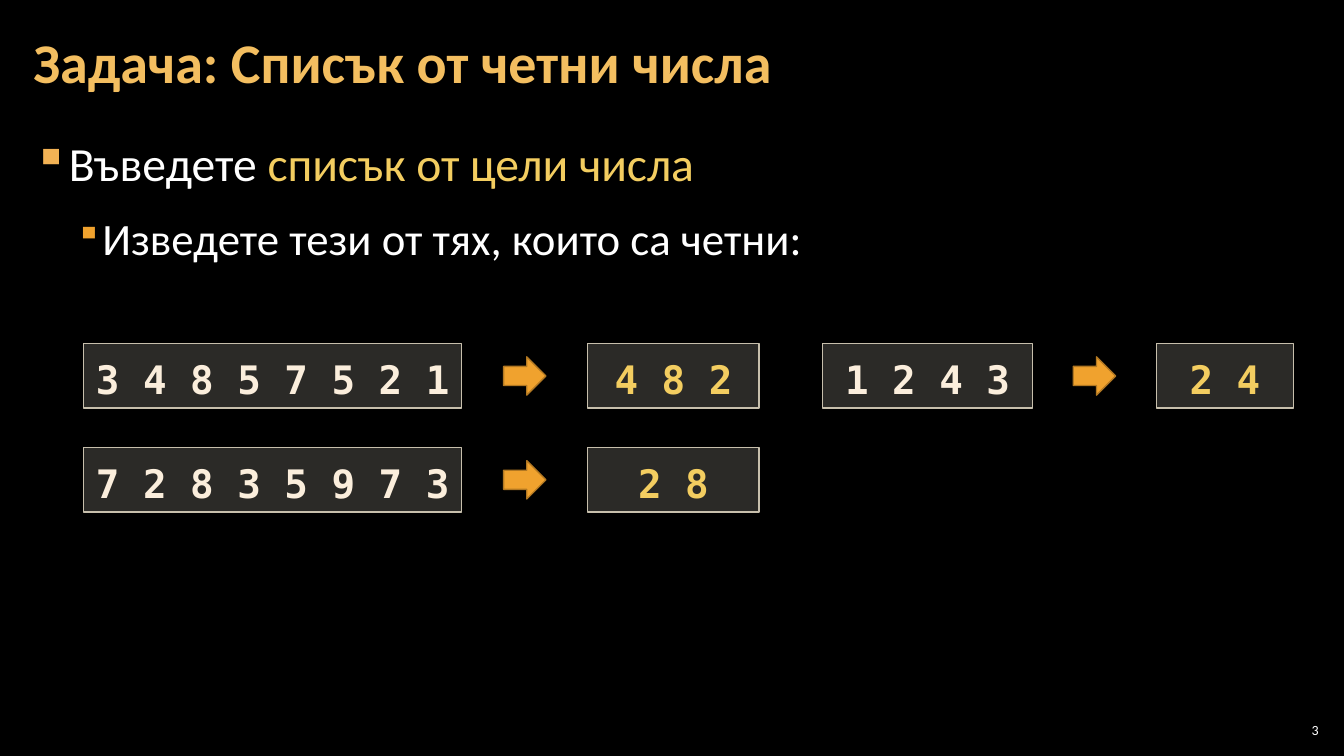
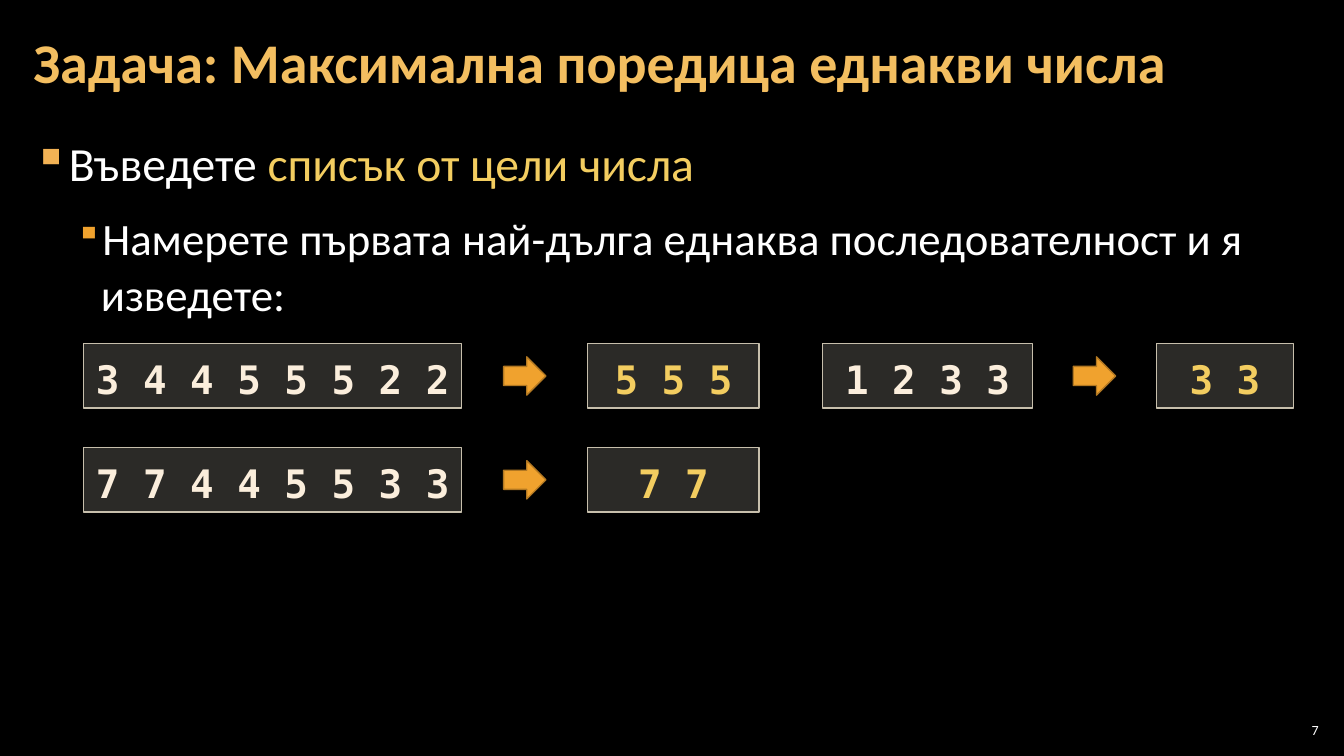
from dataclasses import dataclass

import pptx
import pptx.util
from lxml import etree
from pptx.dml.color import RGBColor
from pptx.enum.shapes import MSO_SHAPE
from pptx.enum.text import MSO_ANCHOR, MSO_AUTO_SIZE, PP_ALIGN
from pptx.oxml.ns import qn
from pptx.util import Inches


# Theme
@dataclass(frozen=True)
class Theme:
    background: str = "000000"
    text: str = "FFFFFF"
    title: str = "F3BE60"
    highlight: str = "F3CD60"
    numbers: str = "FBEEDC"
    box_fill: str = "D9D5C7"
    box_line: str = "C7BFAC"
    box_opacity: int = 20
    arrow_fill: str = "F0A22E"
    arrow_line: str = "B27822"
    body_font: str = "Calibri"
    code_font: str = "DejaVu Sans Mono"
    title_size: int = 40
    code_size: int = 28
    footer_size: int = 10


THEME = Theme()


# Content types
@dataclass(frozen=True)
class BulletLevel:
    size: int
    margin: float
    hanging: float
    color: str
    scale: int


@dataclass(frozen=True)
class Slot:
    """Place of one example: an input box, an arrow and an output box."""
    top: float
    input_left: float
    input_width: float
    output_left: float
    output_width: float


@dataclass(frozen=True)
class Example:
    given: str
    result: str


@dataclass(frozen=True)
class Task:
    number: int
    title: str
    instruction: str
    examples: tuple[Example, ...]


LEVELS = (
    BulletLevel(34, 0.33, 0.33, "F2B254", 100),
    BulletLevel(32, 0.67, 0.25, "F0A22E", 80),
)

MARGIN, CONTENT_WIDTH = 0.21, 12.91
BOX_HEIGHT = 0.64
ARROW_WIDTH, ARROW_HEIGHT = 0.42, 0.38
FIRST_ROW, ROW_STEP = 3.41, 1.03

SLOTS = (
    Slot(FIRST_ROW, 0.83, 3.75, 5.83, 1.7),
    Slot(FIRST_ROW + ROW_STEP, 0.83, 3.75, 5.83, 1.7),
    Slot(FIRST_ROW, 8.16, 2.08, 11.47, 1.36),
)

TASKS = (
    Task(3, "Задача: Списък от четни числа",
         "Изведете тези от тях, които са четни:",
         (Example("3 4 8 5 7 5 2 1", "4 8 2"),
          Example("7 2 8 3 5 9 7 3", "2 8"),
          Example("1 2 4 3", "2 4"))),
    Task(7, "Задача: Максимална поредица еднакви числа",
         "Намерете първата най-дълга еднаква последователност и я изведете:",
         (Example("3 4 4 5 5 5 2 2", "5 5 5"),
          Example("7 7 4 4 5 5 3 3", "7 7"),
          Example("1 2 3 3", "3 3"))),
)


# Text helpers
def add_span(para, text: str, size: int, color: str,
             font: str = THEME.body_font, bold: bool = False) -> None:
    span = para.add_run()
    span.text = text
    span.font.name = font
    span.font.size = pptx.util.Pt(size)
    span.font.bold = bold
    span.font.color.rgb = RGBColor.from_string(color)


def set_frame(frame, side: float, anchor: MSO_ANCHOR, edge: float = 0.04) -> None:
    frame.word_wrap = True
    frame.vertical_anchor = anchor
    frame.margin_left = frame.margin_right = Inches(side)
    frame.margin_top = frame.margin_bottom = Inches(edge)


def set_bullet(para, level: BulletLevel) -> None:
    props = para._p.get_or_add_pPr()
    props.set("marL", str(Inches(level.margin)))
    props.set("indent", str(-Inches(level.hanging)))
    color = etree.SubElement(props, qn("a:buClr"))
    etree.SubElement(color, qn("a:srgbClr"), val=level.color)
    etree.SubElement(props, qn("a:buSzPct"), val=str(level.scale * 1000))
    etree.SubElement(props, qn("a:buChar"), char="▪")


# Slide parts
def add_title(page, text: str) -> None:
    title = page.shapes.title
    title.left, title.top = Inches(MARGIN), Inches(0.04)
    title.width, title.height = Inches(CONTENT_WIDTH), Inches(1.21)
    set_frame(title.text_frame, 0.12, MSO_ANCHOR.MIDDLE)
    title.text_frame.auto_size = MSO_AUTO_SIZE.NONE
    para = title.text_frame.paragraphs[0]
    para.alignment = PP_ALIGN.LEFT
    para.line_spacing = 0.9
    add_span(para, text, THEME.title_size, THEME.title, bold=True)


def add_body(page, instruction: str) -> None:
    box = page.shapes.add_textbox(Inches(MARGIN), Inches(1.26),
                                  Inches(CONTENT_WIDTH), Inches(6.09))
    frame = box.text_frame
    set_frame(frame, 0.12, MSO_ANCHOR.TOP)
    lines = (
        (("Въведете ", THEME.text), ("списък от цели числа", THEME.highlight)),
        ((instruction, THEME.text),),
    )
    for index, (level, spans) in enumerate(zip(LEVELS, lines)):
        para = frame.add_paragraph() if index else frame.paragraphs[0]
        para.level = index
        set_bullet(para, level)
        para.line_spacing = 1.05
        para.space_before = pptx.util.Pt(6 if index else 0)
        para.space_after = pptx.util.Pt(6)
        for text, color in spans:
            add_span(para, text, level.size, color)


def add_block(page, kind: MSO_SHAPE, left: float, top: float, width: float,
              height: float, fill: str, line: str):
    shape = page.shapes.add_shape(kind, Inches(left), Inches(top),
                                  Inches(width), Inches(height))
    shape.shadow.inherit = False
    shape.fill.solid()
    shape.fill.fore_color.rgb = RGBColor.from_string(fill)
    shape.line.color.rgb = RGBColor.from_string(line)
    shape.line.width = pptx.util.Pt(1)
    return shape


def add_number_box(page, left: float, top: float, width: float,
                   text: str, color: str) -> None:
    box = add_block(page, MSO_SHAPE.RECTANGLE, left, top, width, BOX_HEIGHT,
                    THEME.box_fill, THEME.box_line)
    fill_color = box.element.spPr.find(qn("a:solidFill")).find(qn("a:srgbClr"))
    etree.SubElement(fill_color, qn("a:alpha"), val=str(THEME.box_opacity * 1000))
    set_frame(box.text_frame, 0.1, MSO_ANCHOR.TOP, 0.05)
    box.text_frame.auto_size = MSO_AUTO_SIZE.SHAPE_TO_FIT_TEXT
    para = box.text_frame.paragraphs[0]
    para.alignment = PP_ALIGN.CENTER
    para.line_spacing = 1.15
    add_span(para, text, THEME.code_size, color, THEME.code_font, bold=True)


def add_example(page, slot: Slot, example: Example) -> None:
    add_number_box(page, slot.input_left, slot.top, slot.input_width,
                   example.given, THEME.numbers)
    # The arrow is centred in the gap between the two boxes
    middle = (slot.input_left + slot.input_width + slot.output_left) / 2
    add_block(page, MSO_SHAPE.RIGHT_ARROW, middle - ARROW_WIDTH / 2,
              slot.top + (BOX_HEIGHT - ARROW_HEIGHT) / 2,
              ARROW_WIDTH, ARROW_HEIGHT, THEME.arrow_fill, THEME.arrow_line)
    add_number_box(page, slot.output_left, slot.top, slot.output_width,
                   example.result, THEME.highlight)


def add_page_number(page, number: int) -> None:
    box = page.shapes.add_textbox(Inches(12.65), Inches(7.14),
                                  Inches(0.47), Inches(0.21))
    set_frame(box.text_frame, 0.04, MSO_ANCHOR.MIDDLE)
    para = box.text_frame.paragraphs[0]
    para.alignment = PP_ALIGN.RIGHT
    add_span(para, str(number), THEME.footer_size, THEME.text)


def add_task(deck, task: Task) -> None:
    page = deck.slides.add_slide(deck.slide_layouts[5])
    add_title(page, task.title)
    add_body(page, task.instruction)
    for slot, example in zip(SLOTS, task.examples):
        add_example(page, slot, example)
    add_page_number(page, task.number)


def main() -> None:
    deck = pptx.Presentation()
    deck.slide_width, deck.slide_height = Inches(13.33), Inches(7.5)
    # The shared background belongs to the master
    backdrop = deck.slide_master.background.fill
    backdrop.solid()
    backdrop.fore_color.rgb = RGBColor.from_string(THEME.background)
    for task in TASKS:
        add_task(deck, task)
    deck.save("out.pptx")


if __name__ == "__main__":
    main()
